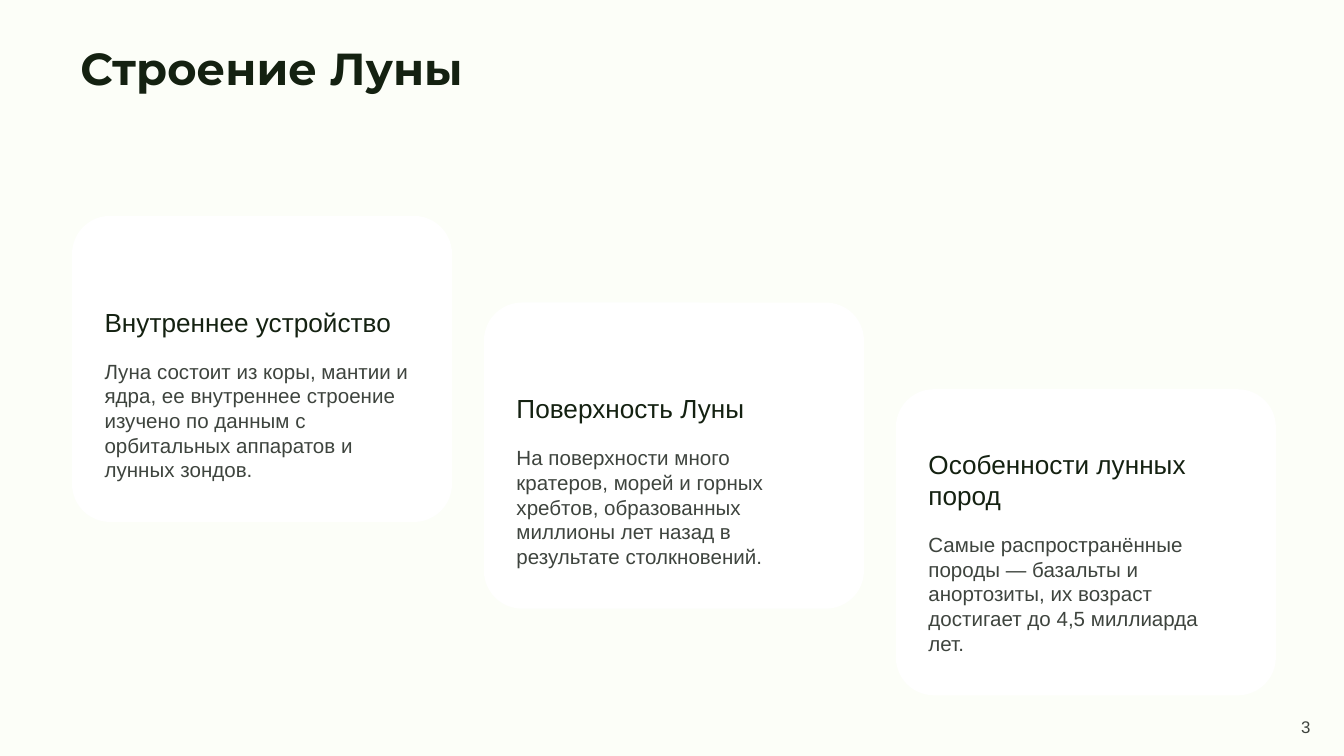
from pptx import Presentation
from pptx.dml.color import RGBColor
from pptx.enum.shapes import MSO_SHAPE
from pptx.enum.text import MSO_ANCHOR, PP_ALIGN
from pptx.util import Inches, Pt

ROUNDED = MSO_SHAPE.ROUNDED_RECTANGLE
TOP, BOTTOM = MSO_ANCHOR.TOP, MSO_ANCHOR.BOTTOM
LEFT, RIGHT = PP_ALIGN.LEFT, PP_ALIGN.RIGHT

COLORS = {
    "background": "FCFEF8",
    "card": "FFFFFF",
    "heading": "142111",
    "body": "3E443E",
}

CARDS = [
    ("Внутреннее устройство",
     "Луна состоит из коры, мантии и ядра, ее внутреннее строение изучено "
     "по данным с орбитальных аппаратов и лунных зондов."),
    ("Поверхность Луны",
     "На поверхности много кратеров, морей и горных хребтов, образованных "
     "миллионы лет назад в результате столкновений."),
    ("Особенности лунных пород",
     "Самые распространённые породы — базальты и анортозиты, их возраст "
     "достигает до 4,5 миллиарда лет."),
]
FIRST_LEFT, LAST_LEFT = 0.55, 6.68
FIRST_TOP, LAST_TOP = 1.62, 2.91
STEP_RIGHT = (LAST_LEFT - FIRST_LEFT) / (len(CARDS) - 1)
STEP_DOWN = (LAST_TOP - FIRST_TOP) / (len(CARDS) - 1)


def color(name):
    return RGBColor.from_string(COLORS[name])


class SlideBuilder:
    def __init__(self, slide):
        self.slide = slide
        fill = slide.background.fill
        fill.solid()
        fill.fore_color.rgb = color("background")

    def text(self, content, left, top, width, height, size, ink="body",
             font="Arial", bold=False, anchor=TOP, align=LEFT):
        box = self.slide.shapes.add_textbox(
            Inches(left), Inches(top), Inches(width), Inches(height))
        frame = box.text_frame
        frame.word_wrap = True
        frame.vertical_anchor = anchor
        paragraph = frame.paragraphs[0]
        paragraph.text = content
        paragraph.alignment = align
        paragraph.font.name = font
        paragraph.font.size = Pt(size)
        paragraph.font.bold = bold
        paragraph.font.color.rgb = color(ink)

    def card(self, heading, description, left, top):
        panel = self.slide.shapes.add_shape(
            ROUNDED, Inches(left), Inches(top), Inches(2.8), Inches(2.25))
        panel.adjustments[0] = 0.12
        panel.shadow.inherit = False
        panel.fill.solid()
        panel.fill.fore_color.rgb = color("card")
        panel.line.color.rgb = color("card")
        panel.line.width = Pt(2)
        text_left = left + 0.13
        self.text(heading, text_left, top + 0.14, 2.5, 0.8, 14,
                  ink="heading", anchor=BOTTOM)
        self.text(description, text_left, top + 1, 2.5, 1.27, 11)


def main():
    presentation = Presentation()
    presentation.slide_width = Inches(10)
    presentation.slide_height = Inches(10 * 9 / 16)
    blank = presentation.slide_layouts[6]
    builder = SlideBuilder(presentation.slides.add_slide(blank))

    for index, (heading, description) in enumerate(CARDS):
        builder.card(heading, description,
                     FIRST_LEFT + index * STEP_RIGHT,
                     FIRST_TOP + index * STEP_DOWN)
    builder.text("3", 9.32, 5.28, 0.53, 0.25, 9, align=RIGHT)
    builder.text("Строение Луны", 0.5, 0.25, 9, 1.25, 24,
                 ink="heading", font="Montserrat", bold=True)

    presentation.save("out.pptx")


if __name__ == "__main__":
    main()
